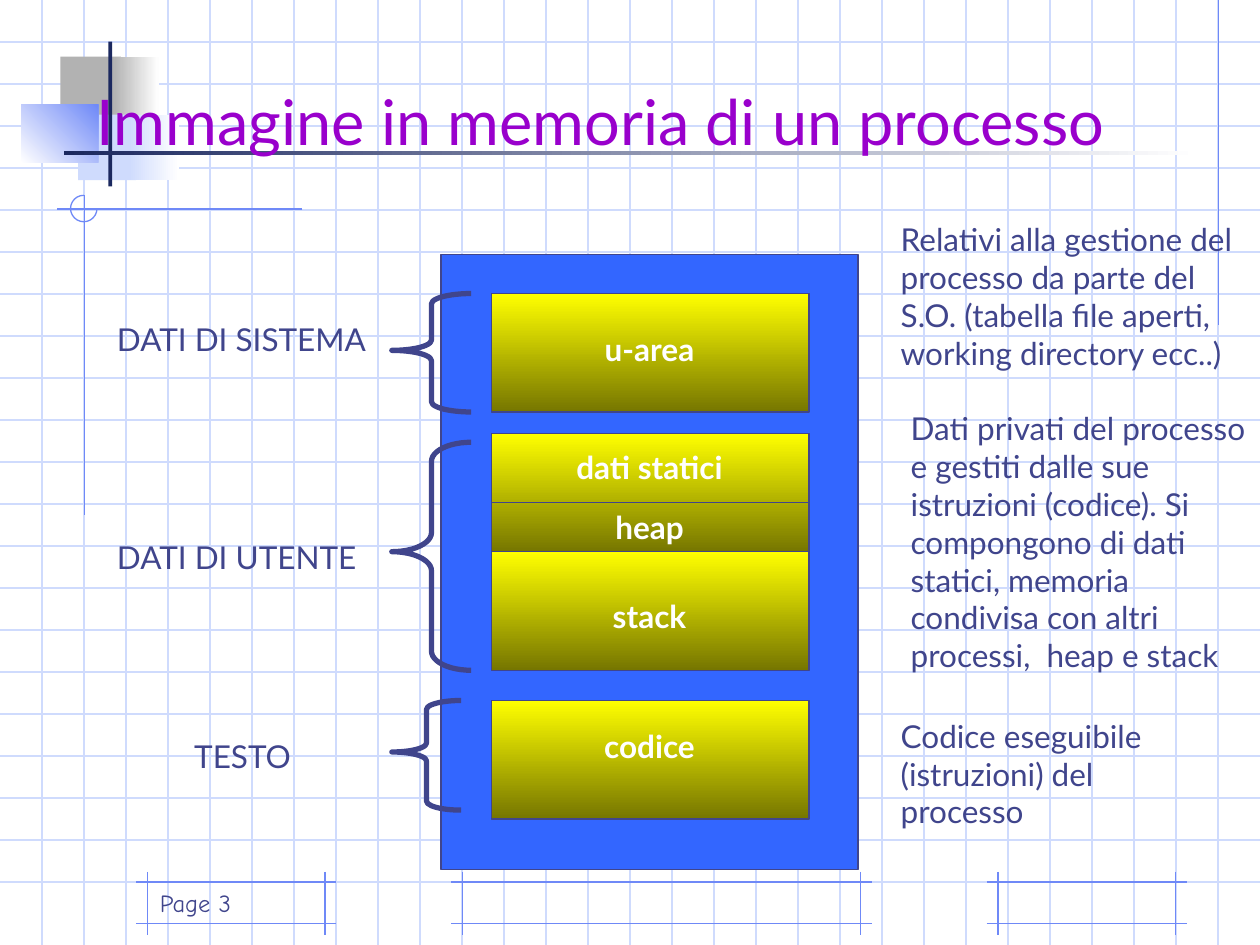
"""Build a slide showing the memory image of a process."""
from lxml import etree
from pptx import Presentation
from pptx.dml.color import RGBColor
from pptx.enum import shapes, text
from pptx.oxml import ns
from pptx.util import Inches, Pt

WHITE = RGBColor(0xFF, 0xFF, 0xFF)
PALE = RGBColor(0xCF, 0xDB, 0xFD)
SKY = RGBColor(0x6F, 0x89, 0xF7)
NAVY = RGBColor(0x1B, 0x28, 0x5F)
GREY = RGBColor(0xB2, 0xB2, 0xB2)
BLUE = RGBColor(0x33, 0x66, 0xFF)
INK = RGBColor(0x40, 0x45, 0x8C)
PURPLE = RGBColor(0x99, 0x00, 0xCC)
YELLOW = RGBColor(0xFF, 0xFF, 0x00)
OLIVE = RGBColor(0x76, 0x76, 0x00)

WIDTH, HEIGHT, STEP = 10, 7.5, 1 / 3
TITLE = "Immagine in memoria di un processo"
FOOTER = "Page 3"
FOOTER_FRAMES = [(3.58, 6.92), (7.83, 9.42), (1.08, 2.67)]
GUIDES = [(9.67, 0, 9.67, 2.58), (2.4, 1.66, 0.45, 1.66), (0.67, 1.55, 0.67, 4.09)]
ORNAMENT = [
    ((0.48, 0.45, 0.48, 0.52), [GREY], 0),
    ((0.9, 0.45, 0.36, 0.52), [GREY, WHITE], 0),
    ((0.62, 0.91, 0.46, 0.52), [PALE], 0),
    ((1.02, 0.91, 0.4, 0.52), [PALE, WHITE], 0),
    ((0.17, 0.83, 0.61, 0.46), [WHITE, SKY], 45),
    ((0.86, 0.33, 0.03, 1.15), [NAVY], 0),
    ((0.51, 1.2, 9, 0.03), [NAVY, WHITE], 0),
]
MEMORY = (3.5, 2.02, 3.31, 4.88)
BLOCK_X, BLOCK_W, BLOCK_H = 3.9, 2.52, 0.94
BLOCK_TOPS = [2.33, 3.44, 4.38, 5.56]
HEAP_TOP = 3.99
AREAS = [("u-area", 2.57), ("dati statici", 3.51), ("heap", 3.98),
         ("stack", 4.69), ("codice", 5.72)]
NOTES = [
    ("Relativi alla gestione del processo da parte del S.O. "
     "(tabella file aperti, working directory ecc..)", (7.05, 1.7, 2.95, 1.6)),
    ("Dati privati del processo e gestiti dalle sue istruzioni (codice). "
     "Si compongono di dati statici, memoria condivisa con altri processi,  "
     "heap e stack", (7.13, 3.2, 2.87, 2.5)),
    ("Codice eseguibile (istruzioni) del processo", (7.05, 5.64, 2.48, 1)),
]
SEGMENTS = [
    ("DATI DI SISTEMA", (0.83, 2.49, 2.52, 0.4), text.PP_ALIGN.LEFT),
    ("DATI DI UTENTE", (0.83, 4.22, 2.52, 0.4), text.PP_ALIGN.LEFT),
    ("TESTO", (0.9, 5.8, 2.05, 0.4), text.PP_ALIGN.CENTER),
]
BRACES = [
    ((3.11, 3.51, 0.63, 1.81), 0.24, 0.48),
    ((3.11, 2.33, 0.63, 0.94), 0.13, 0.48),
    ((3.11, 5.56, 0.55, 0.87), 0.13, 0.47),
]

prs = Presentation()
prs.slide_width, prs.slide_height = Inches(WIDTH), Inches(HEIGHT)
s = prs.slides.add_slide(prs.slide_layouts[6])


def add_line(x1, y1, x2, y2, color):
    c = s.shapes.add_connector(shapes.MSO_CONNECTOR.STRAIGHT,
                               *map(Inches, (x1, y1, x2, y2)))
    c.line.color.rgb, c.line.width = color, Pt(0.75)
    etree.SubElement(c._element.spPr, ns.qn("a:effectLst"))


def add_shape(box, fills=(), angle=0, line=None, width=0.75,
              kind=shapes.MSO_SHAPE.RECTANGLE):
    sp = s.shapes.add_shape(kind, *map(Inches, box))
    sp.shadow.inherit = False
    if len(fills) == 2:
        sp.fill.gradient()
        sp.fill.gradient_angle = angle
        for stop, color in zip(sp.fill.gradient_stops, fills):
            stop.color.rgb = color
    elif fills:
        sp.fill.solid()
        sp.fill.fore_color.rgb = fills[0]
    else:
        sp.fill.background()
    if line is None:
        sp.line.fill.background()
    else:
        sp.line.color.rgb, sp.line.width = line, Pt(width)
    return sp


def add_text(words, box, size=18, color=INK, font="Lato", bold=False,
             align=text.PP_ALIGN.LEFT, anchor=text.MSO_ANCHOR.TOP):
    tf = s.shapes.add_textbox(*map(Inches, box)).text_frame
    tf.word_wrap, tf.vertical_anchor = True, anchor
    p = tf.paragraphs[0]
    p.alignment = align
    r = p.add_run()
    r.text = words
    r.font.size, r.font.name, r.font.bold = Pt(size), font, bold
    r.font.color.rgb = color


for i in range(1, round(HEIGHT / STEP)):
    add_line(0, i * STEP, WIDTH, i * STEP, PALE)
for i in range(1, round(WIDTH / STEP)):
    add_line(i * STEP, 0, i * STEP, HEIGHT, PALE)
for left, right in FOOTER_FRAMES:
    for y in (7, 7.33):
        add_line(left, y, right, y, SKY)
    for x in (left + 0.09, right - 0.09):
        add_line(x, 6.92, x, 7.42, SKY)
for ends in GUIDES:
    add_line(*ends, SKY)
arc = add_shape((0.56, 1.55, 0.21, 0.21), line=SKY, kind=shapes.MSO_SHAPE.ARC)
arc.adjustments[0], arc.adjustments[1] = 0, 162
for box, fills, angle in ORNAMENT:
    add_shape(box, fills, angle)

add_text(FOOTER, (1.17, 6.83, 2.08, 0.5), size=14, font="Comic Neue",
         anchor=text.MSO_ANCHOR.BOTTOM)
add_shape(MEMORY, [BLUE], line=INK)
add_text(TITLE, (0.67, 0.33, 8.5, 1.25), size=36, color=PURPLE,
         anchor=text.MSO_ANCHOR.MIDDLE)
for top in BLOCK_TOPS:
    add_shape((BLOCK_X, top, BLOCK_W, BLOCK_H), [YELLOW, OLIVE], 270, INK)
for words, top in AREAS:
    add_text(words, (4.29, top, 1.73, 0.4), color=WHITE, bold=True,
             align=text.PP_ALIGN.CENTER)
for words, box in NOTES:
    add_text(words, box)
for words, box, align in SEGMENTS:
    add_text(words, box, align=align)
for box, curl, tip in BRACES:
    brace = add_shape(box, line=INK, width=3, kind=shapes.MSO_SHAPE.LEFT_BRACE)
    brace.adjustments[0], brace.adjustments[1] = curl, tip
add_line(BLOCK_X, HEAP_TOP, BLOCK_X + BLOCK_W, HEAP_TOP, INK)

prs.save("out.pptx")
